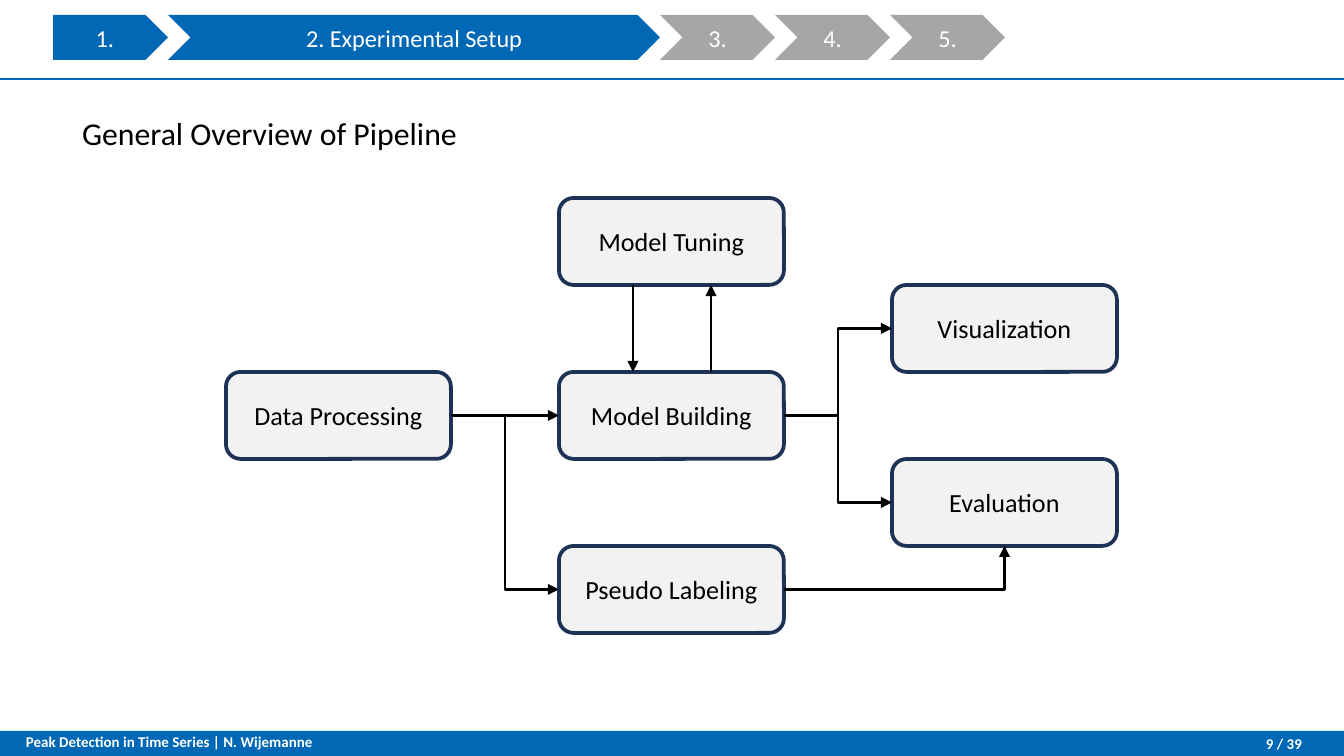
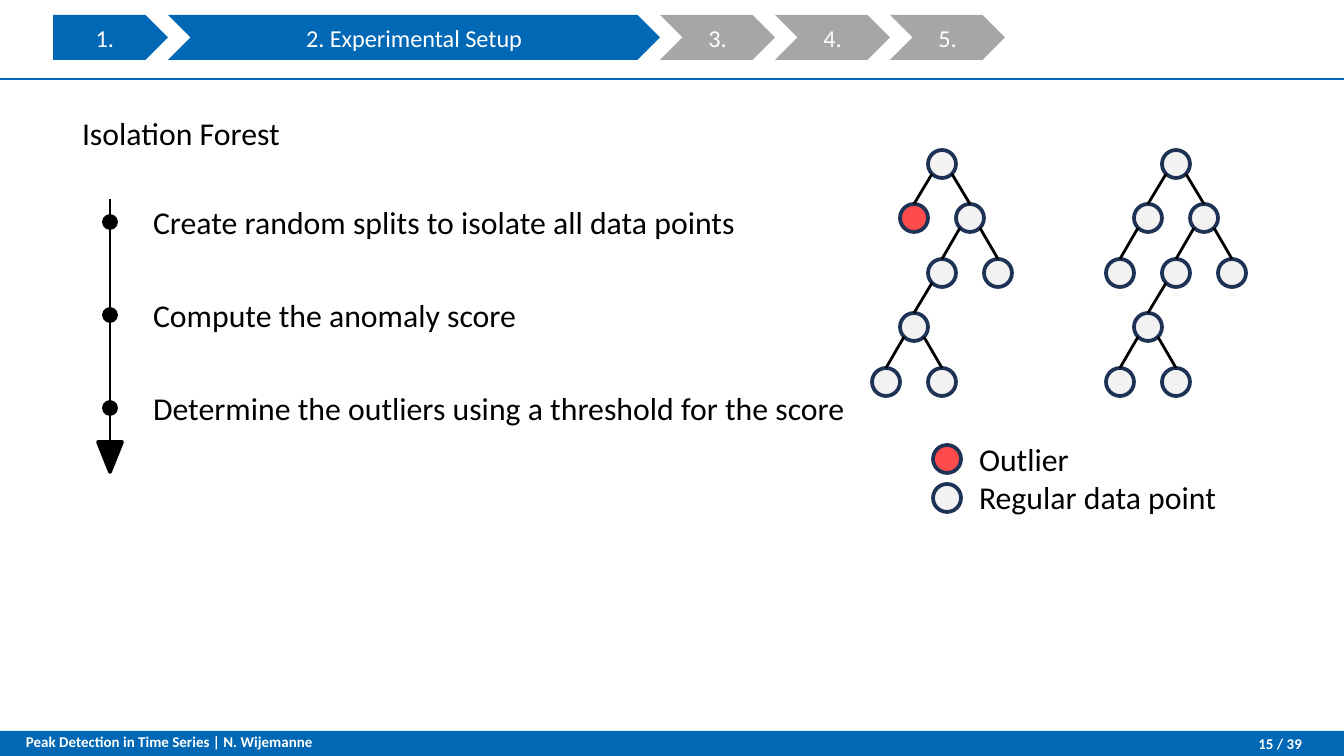
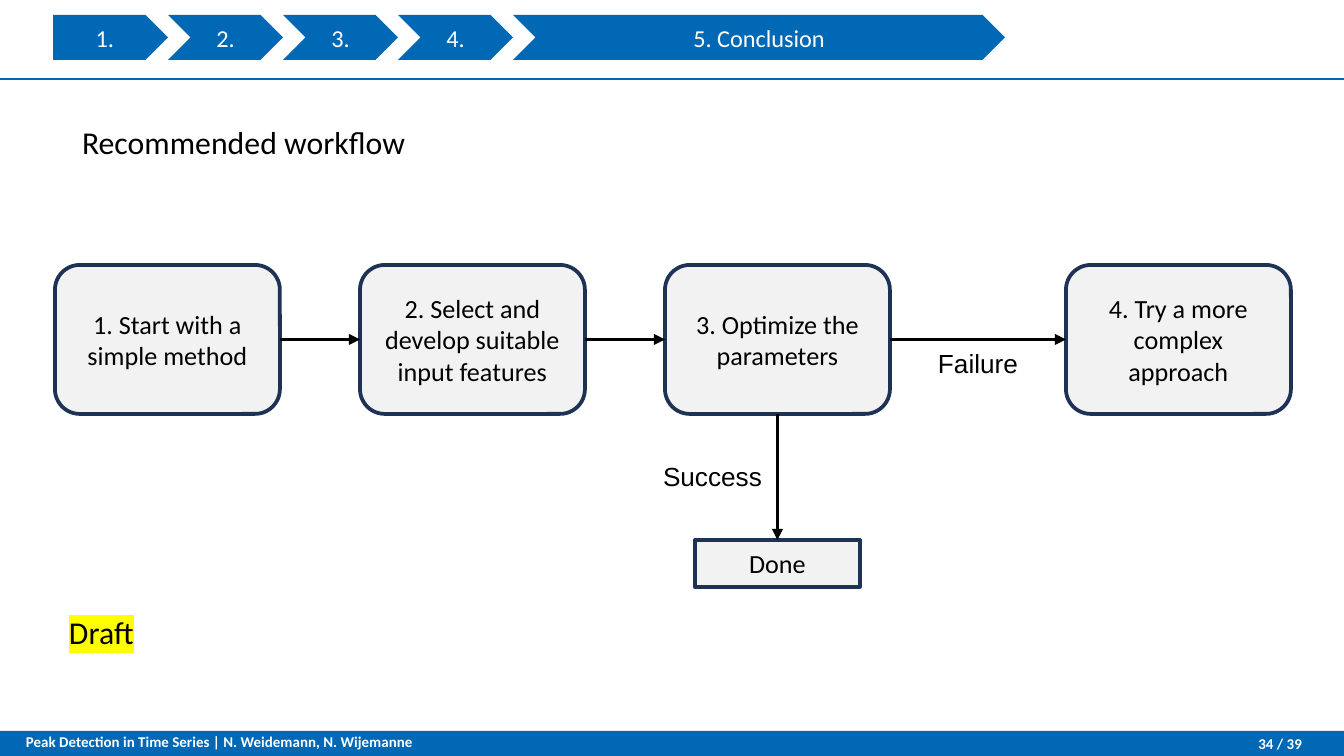
from dataclasses import dataclass

import lxml.etree
import pptx
import pptx.dml.color
import pptx.enum.shapes
import pptx.enum.text
import pptx.oxml.ns
import pptx.util

SHAPE = pptx.enum.shapes.MSO_SHAPE
CONNECTOR = pptx.enum.shapes.MSO_CONNECTOR
ALIGN = pptx.enum.text.PP_ALIGN
ANCHOR = pptx.enum.text.MSO_ANCHOR
TOP, LEFT, BOTTOM, RIGHT = range(4)
qn = pptx.oxml.ns.qn


@dataclass(frozen=True)
class Theme:
    blue: str = "0068B4"
    pending: str = "A6A6A6"
    panel: str = "F2F2F2"
    outline: str = "1E3256"
    outlier: str = "FF4B4B"
    marker: str = "FFFF00"
    black: str = "000000"
    white: str = "FFFFFF"
    font: str = "Calibri"
    label_font: str = "Arial"
    heading_size: int = 17
    box_size: int = 14
    step_size: int = 13
    footer_size: int = 8
    arrow_width: float = 1.5
    outline_width: int = 2


@dataclass(frozen=True)
class Box:
    x: int
    y: int
    w: int
    h: int

    def inner(self, dx, dy, w, h):
        return Box(self.x + dx, self.y + dy, w, h)

    def emu(self):
        return px(self.x), px(self.y), px(self.w), px(self.h)


THEME = Theme()
SLIDE = Box(0, 0, 1344, 756)
PX = 10 * 914400 / SLIDE.w
PLAIN_INSETS = (13, 7, 13, 7)
HEADING_INSETS = (30, 7, 13, 7)  # includes the first-line indent


def px(length):
    return pptx.util.Emu(round(length * PX))


def rgb(colour):
    return pptx.dml.color.RGBColor.from_string(colour)


# Shared drawing helpers

def write(frame, lines, size, colour=THEME.black, font=THEME.font, bold=False,
          align=ALIGN.LEFT, anchor=ANCHOR.TOP, insets=PLAIN_INSETS, spacing=None):
    frame.word_wrap = True
    frame.auto_size = pptx.enum.text.MSO_AUTO_SIZE.NONE
    frame.vertical_anchor = anchor
    (frame.margin_left, frame.margin_top,
     frame.margin_right, frame.margin_bottom) = map(px, insets)
    frame.text = lines
    for paragraph in frame.paragraphs:
        paragraph.alignment = align
        paragraph.line_spacing = spacing
        paragraph.font.name = font
        paragraph.font.size = pptx.util.Pt(size)
        paragraph.font.bold = bold
        paragraph.font.color.rgb = rgb(colour)


def add_text(shapes, box, lines, size, **style):
    textbox = shapes.add_textbox(*box.emu())
    write(textbox.text_frame, lines, size, **style)
    return textbox


def add_filled(shapes, kind, box, fill, outline=None):
    shape = shapes.add_shape(kind, *box.emu())
    shape.shadow.inherit = False
    shape.fill.solid()
    shape.fill.fore_color.rgb = rgb(fill)
    if outline:
        shape.line.color.rgb = rgb(outline)
        shape.line.width = pptx.util.Pt(THEME.outline_width)
    else:
        shape.line.fill.background()
    return shape


def add_line(shapes, start, end, colour=THEME.black, arrow=False, kind=CONNECTOR.STRAIGHT):
    line = shapes.add_connector(kind, *map(px, start + end))
    line.line.color.rgb = rgb(colour)
    line.line.width = pptx.util.Pt(THEME.arrow_width)
    properties = line._element.spPr
    if arrow:
        lxml.etree.SubElement(properties.find(qn("a:ln")), qn("a:tailEnd"), type="triangle")
    lxml.etree.SubElement(properties, qn("a:effectLst"))
    return line


def join(shapes, source, source_side, target, target_side, kind=CONNECTOR.STRAIGHT):
    arrow = add_line(shapes, (0, 0), (0, 0), arrow=True, kind=kind)
    arrow.begin_connect(source, source_side)
    arrow.end_connect(target, target_side)
    return arrow


def add_stage(shapes, box, label, kind=SHAPE.ROUNDED_RECTANGLE):
    stage = add_filled(shapes, kind, box, THEME.panel, THEME.outline)
    write(stage.text_frame, label, THEME.box_size, align=ALIGN.CENTER, anchor=ANCHOR.MIDDLE)
    return stage


def add_point(shapes, box, fill=THEME.panel):
    return add_filled(shapes, SHAPE.OVAL, box, fill, THEME.outline)


# Regions found on every slide

def draw_progress(slide, box, current, name):
    """Five steps; the current one is wide and named."""
    steps = slide.shapes.add_group_shape().shapes
    narrow, left = 115, 0
    for number in range(1, 6):
        width = box.w - 4 * narrow if number == current else narrow
        kind = SHAPE.PENTAGON if number == 1 else SHAPE.CHEVRON
        fill = THEME.blue if number <= current else THEME.pending
        step = add_filled(steps, kind, box.inner(left, 0, width, box.h), fill)
        label = f"{number}. {name}" if number == current else f"{number}."
        write(step.text_frame, label, THEME.step_size, colour=THEME.white,
              align=ALIGN.CENTER, anchor=ANCHOR.MIDDLE, insets=(0, 0, 0, 0))
        left += width


def draw_footer(slide, box, authors, page):
    add_filled(slide.shapes, SHAPE.RECTANGLE, box, THEME.blue)
    style = dict(colour=THEME.white, bold=True)
    add_text(slide.shapes, box.inner(13, -11, 583, 46),
             f"Peak Detection in Time Series | {authors}",
             THEME.footer_size, insets=(13, 13, 13, 13), **style)
    add_text(slide.shapes, box.inner(1176, 0, 126, box.h), f"{page} / 39",
             THEME.footer_size, align=ALIGN.RIGHT, anchor=ANCHOR.MIDDLE,
             insets=(13, 7, 0, 7), **style)


def start_slide(deck, title, step, step_name, authors, page, spacing=0.95):
    slide = deck.slides.add_slide(deck.slide_layouts[5])
    heading = slide.shapes.title
    heading.left, heading.top, heading.width, heading.height = Box(52, 110, 1238, 535).emu()
    write(heading.text_frame, title, THEME.heading_size,
          insets=HEADING_INSETS, spacing=spacing)
    add_line(slide.shapes, (SLIDE.w, 79), (0, 79), THEME.blue)
    draw_progress(slide, Box(53, 15, 952, 45), step, step_name)
    draw_footer(slide, Box(0, 731, SLIDE.w, 25), authors, page)
    return slide


# Pipeline overview

def draw_pipeline(slide, box):
    shapes = slide.shapes
    width, height = 225, box.h // 5
    column_pitch = (box.w - width) // 2

    def stage(label, column, row):
        return add_stage(shapes, box.inner(column * column_pitch, row * height, width, height),
                         label)

    processing = stage("Data Processing", 0, 2)
    building = stage("Model Building", 1, 2)
    stage("Model Tuning", 1, 0)
    visualization = stage("Visualization", 2, 1)
    evaluation = stage("Evaluation", 2, 3)
    labeling = stage("Pseudo Labeling", 1, 4)

    join(shapes, processing, RIGHT, building, LEFT)
    for source, target in ((building, visualization), (building, evaluation),
                           (processing, labeling)):
        join(shapes, source, RIGHT, target, LEFT, CONNECTOR.ELBOW)
    corner = join(shapes, labeling, RIGHT, evaluation, BOTTOM, CONNECTOR.ELBOW)
    corner._element.spPr.find(qn("a:prstGeom")).set("prst", "bentConnector2")

    # Tuning loop
    tuning_bottom, building_top = box.y + height, box.y + 2 * height
    down, up = box.x + column_pitch + 74, box.x + column_pitch + 152
    add_line(shapes, (down, tuning_bottom), (down, building_top), arrow=True)
    add_line(shapes, (up, building_top), (up, tuning_bottom), arrow=True)


# Isolation forest

# Each node is (column, level); each edge runs from parent to child.
TREE_EDGES = [((2, 0), (1, 1)), ((2, 0), (3, 1)), ((3, 1), (4, 2)), ((3, 1), (2, 2)),
              ((2, 2), (1, 3)), ((1, 3), (0, 4)), ((1, 3), (2, 4))]


def draw_tree(slide, box, edges, outliers=()):
    size = box.w // 5
    radius, diagonal = size // 2, 10

    def node_box(node):
        column, level = node
        return box.inner(column * size, level * (box.h - size) // 4, size, size)

    for node in [edges[0][0]] + [child for _, child in edges]:
        add_point(slide.shapes, node_box(node),
                  THEME.outlier if node in outliers else THEME.panel)
    for parent, child in edges:
        upper, lower = node_box(parent), node_box(child)
        side = diagonal if child[0] > parent[0] else -diagonal
        add_line(slide.shapes, (upper.x + radius + side, upper.y + radius + diagonal),
                 (lower.x + radius, lower.y))


def draw_legend(slide, box):
    for row, fill in enumerate((THEME.outlier, THEME.panel)):
        add_point(slide.shapes, box.inner(0, 12 + 39 * row, 28, 28), fill)
    add_text(slide.shapes, box.inner(33, 0, box.w - 33, box.h),
             "Outlier\nRegular data point", THEME.heading_size)


def draw_timeline(slide, box, steps):
    axis, pitch, dot, head_w, head_h = 12, 93, 12, 24, 30
    marks = slide.shapes.add_group_shape().shapes
    tip = box.h - head_h
    add_line(marks, (box.x + axis, box.y + 3), (box.x + axis, box.y + tip))
    head = add_filled(marks, SHAPE.ISOSCELES_TRIANGLE,
                      box.inner(axis - head_w // 2, tip, head_w, head_h),
                      THEME.black, THEME.black)
    head.rotation = 180
    for row, step in enumerate(steps):
        add_text(slide.shapes, box.inner(42, row * pitch, box.w - 42, 52),
                 step, THEME.heading_size)
        add_filled(marks, SHAPE.OVAL,
                   box.inner(axis - dot // 2, row * pitch + 26 - dot // 2, dot, dot),
                   THEME.black, THEME.black)


# Recommended workflow

def draw_workflow(slide, box):
    shapes = slide.shapes
    width, height, pitch = 225, 149, 305
    start, select, optimize, advance = [
        add_stage(shapes, box.inner(left, 0, width, height), label)
        for left, label in (
            (0, "1. Start with a simple method"),
            (pitch, "2. Select and develop suitable input features"),
            (2 * pitch, "3. Optimize the parameters"),
            (box.w - width, "4. Try a more complex approach"))]
    done = add_stage(shapes, box.inner(2 * pitch + 30, box.h - 47, width - 60, 47),
                     "Done", SHAPE.RECTANGLE)
    for source, target in ((start, select), (select, optimize), (optimize, advance)):
        join(shapes, source, RIGHT, target, LEFT)
    join(shapes, optimize, BOTTOM, done, TOP)
    for outcome, left, top in (("Success", 595, 188), ("Failure", 870, 75)):
        add_text(shapes, box.inner(left, top, 126, 46), outcome,
                 THEME.box_size, font=THEME.label_font)


def draw_draft_mark(slide, box):
    mark = add_text(slide.shapes, box, "Draft", THEME.heading_size,
                    insets=HEADING_INSETS, spacing=0.95)
    run = mark.text_frame.paragraphs[0].runs[0]
    highlight = lxml.etree.SubElement(run._r.get_or_add_rPr(), qn("a:highlight"))
    lxml.etree.SubElement(highlight, qn("a:srgbClr"), val=THEME.marker)


def main():
    deck = pptx.Presentation()
    deck.slide_width, deck.slide_height = px(SLIDE.w), px(SLIDE.h)
    setup = (2, "Experimental Setup", "N. Wijemanne")

    overview = start_slide(deck, "General Overview of Pipeline", *setup, 9)
    draw_pipeline(overview, Box(226, 198, 891, 435))

    forest = start_slide(deck, "Isolation Forest", *setup, 15)
    draw_tree(forest, Box(872, 150, 140, 246), TREE_EDGES, outliers=[(1, 1)])
    draw_tree(forest, Box(1106, 150, 140, 246), TREE_EDGES + [((1, 1), (0, 2))])
    draw_legend(forest, Box(933, 433, 357, 90))
    draw_timeline(forest, Box(98, 196, 1194, 276), [
        "Create random splits to isolate all data points",
        "Compute the anomaly score",
        "Determine the outliers using a threshold for the score"])

    workflow = start_slide(deck, "Recommended workflow", 5, "Conclusion",
                           "N. Weidemann, N. Wijemanne", 34, spacing=1.15)
    draw_draft_mark(workflow, Box(39, 609, 282, 102))
    draw_workflow(workflow, Box(55, 265, 1236, 322))

    deck.save("out.pptx")


if __name__ == "__main__":
    main()
